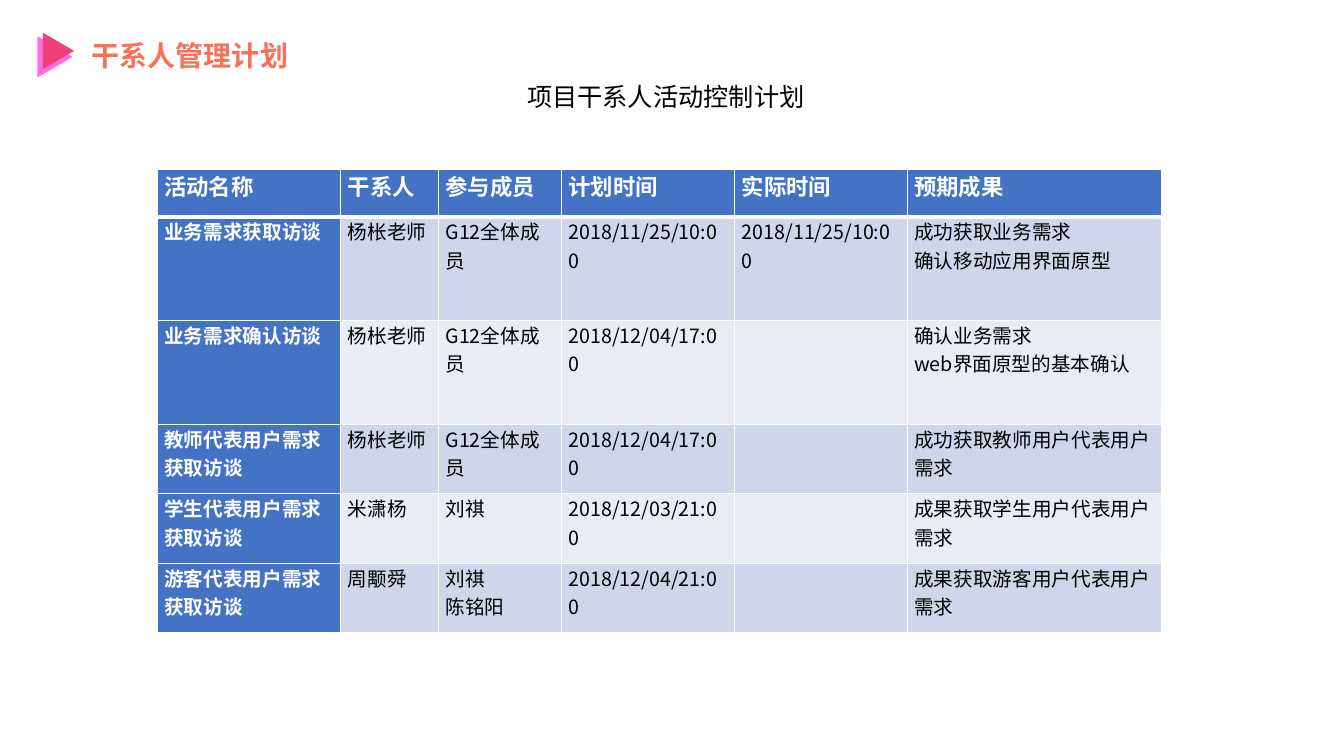
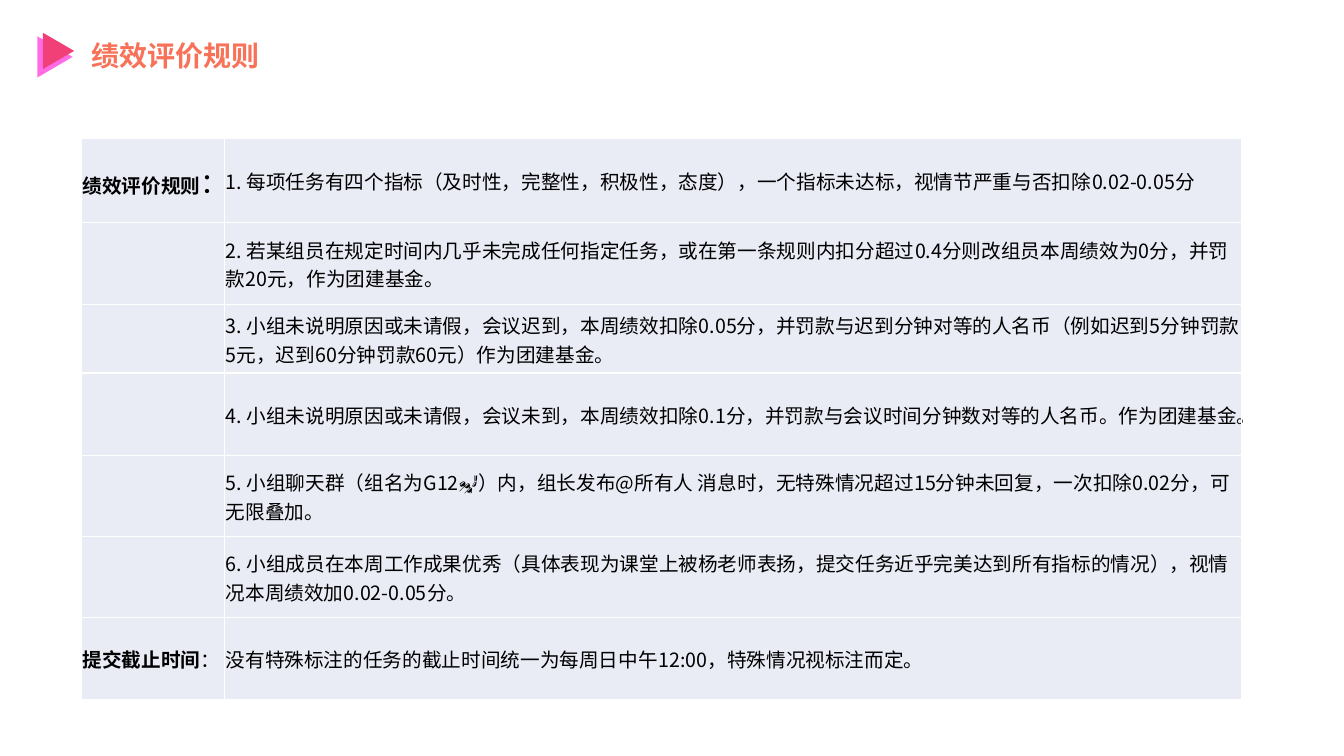
"""Build two slides: the stakeholder activity plan and the performance rules."""
from dataclasses import dataclass

from lxml import etree
from pptx import Presentation
from pptx.dml.color import RGBColor
from pptx.enum import shapes, text
from pptx.oxml import ns
from pptx.util import Inches, Pt


@dataclass(frozen=True)
class Theme:
    font: str = "Noto Sans CJK SC"
    coral: str = "F77258"
    pink: str = "FF6CE4"
    red: str = "F04077"
    blue: str = "4472C4"
    band_dark: str = "CFD5EA"
    band_light: str = "E9EBF5"
    black: str = "000000"
    white: str = "FFFFFF"
    title_size: int = 20
    subtitle_size: int = 18
    header_size: int = 16
    body_size: int = 14
    thin_line: int = 1
    thick_line: int = 3


theme = Theme()


def format_text(text_frame, size, color, bold=False):
    for paragraph in text_frame.paragraphs:
        for run in paragraph.runs:
            run.font.size = Pt(size)
            run.font.bold = bold
            run.font.color.rgb = RGBColor.from_string(color)
            run.font.name = theme.font
            east_asian = etree.SubElement(run.font._element, ns.qn("a:ea"))
            east_asian.set("typeface", theme.font)


def add_grid(slide, left, top, widths, heights, margins, anchor, header_line):
    frame = slide.shapes.add_table(
        len(heights), len(widths), Inches(left), Inches(top),
        Inches(sum(widths)), Inches(sum(heights)))
    table = frame.table
    table.first_row = table.horz_banding = False
    for column, width in zip(table.columns, widths):
        column.width = Inches(width)
    for row_index, (row, height) in enumerate(zip(table.rows, heights)):
        row.height = Inches(height)
        for cell in row.cells:
            (cell.margin_left, cell.margin_top,
             cell.margin_right, cell.margin_bottom) = map(Inches, margins)
            cell.vertical_anchor = anchor
            properties = cell._tc.get_or_add_tcPr()
            for side in "LRTB":
                below_header = (row_index, side) in ((0, "B"), (1, "T"))
                line_width = header_line if below_header else theme.thin_line
                line = etree.SubElement(properties, ns.qn(f"a:ln{side}"), w=str(Pt(line_width)))
                line_fill = etree.SubElement(line, ns.qn("a:solidFill"))
                etree.SubElement(line_fill, ns.qn("a:srgbClr"), val=theme.white)
            cell.fill.solid()
            cell.fill.fore_color.rgb = RGBColor.from_string(theme.band_light)
    return table


presentation = Presentation()
presentation.slide_width = Inches(13.33)
presentation.slide_height = Inches(7.5)
title_only = presentation.slide_layouts[5]

arrow_triangles = [
    (0.34, 0.39, 0.41, 0.35, theme.pink),
    (0.4, 0.35, 0.36, 0.31, theme.red),
]
slides = []
for heading in ("干系人管理计划", "绩效评价规则"):
    slide = presentation.slides.add_slide(title_only)
    slides.append(slide)

    title = slide.shapes.title
    title.left, title.top = Inches(0.81), Inches(0.33)
    title.width, title.height = Inches(3.3), Inches(0.44)
    title_frame = title.text_frame
    title_frame.text = heading
    title_frame.vertical_anchor = text.MSO_ANCHOR.TOP
    title_frame.auto_size = text.MSO_AUTO_SIZE.SHAPE_TO_FIT_TEXT
    title_frame.paragraphs[0].alignment = text.PP_ALIGN.LEFT
    format_text(title_frame, theme.title_size, theme.coral, bold=True)

    arrow = slide.shapes.add_group_shape()
    for left, top, width, height, color in arrow_triangles:
        triangle = arrow.shapes.add_shape(
            shapes.MSO_SHAPE.ISOSCELES_TRIANGLE,
            Inches(left), Inches(top), Inches(width), Inches(height))
        triangle.rotation = 90
        triangle.shadow.inherit = False
        triangle.fill.solid()
        triangle.fill.fore_color.rgb = RGBColor.from_string(color)
        triangle.line.fill.background()

plan_slide, rules_slide = slides

subtitle = plan_slide.shapes.add_textbox(Inches(5.13), Inches(0.76), Inches(2.98), Inches(0.4))
subtitle.text_frame.text = "项目干系人活动控制计划"
subtitle.text_frame.word_wrap = False
subtitle.text_frame.auto_size = text.MSO_AUTO_SIZE.SHAPE_TO_FIT_TEXT
format_text(subtitle.text_frame, theme.subtitle_size, theme.black)

activities = [
    ("活动名称", "干系人", "参与成员", "计划时间", "实际时间", "预期成果"),
    ("业务需求获取访谈", "杨枨老师", "G12全体成员", "2018/11/25/10:00",
     "2018/11/25/10:00", "成功获取业务需求\n确认移动应用界面原型"),
    ("业务需求确认访谈", "杨枨老师", "G12全体成员", "2018/12/04/17:00",
     "", "确认业务需求\nweb界面原型的基本确认"),
    ("教师代表用户需求获取访谈", "杨枨老师", "G12全体成员", "2018/12/04/17:00",
     "", "成功获取教师用户代表用户需求"),
    ("学生代表用户需求获取访谈", "米潇杨", "刘祺", "2018/12/03/21:00",
     "", "成果获取学生用户代表用户需求"),
    ("游客代表用户需求获取访谈", "周颙舜", "刘祺\n陈铭阳", "2018/12/04/21:00",
     "", "成果获取游客用户代表用户需求"),
]
plan_table = add_grid(
    plan_slide, 1.56, 1.68,
    widths=[1.82, 0.97, 1.22, 1.72, 1.71, 2.52],
    heights=[0.47, 1.03, 1.03, 0.69, 0.69, 0.69],
    margins=(0.07, 0, 0.07, 0), anchor=text.MSO_ANCHOR.TOP,
    header_line=theme.thick_line)
for row_index, activity in enumerate(activities):
    band = theme.band_dark if row_index % 2 else theme.band_light
    size = theme.body_size if row_index else theme.header_size
    for column_index, content in enumerate(activity):
        cell = plan_table.cell(row_index, column_index)
        is_heading = row_index == 0 or column_index == 0
        cell.fill.fore_color.rgb = RGBColor.from_string(theme.blue if is_heading else band)
        cell.text_frame.text = content
        format_text(cell.text_frame, size, theme.white if is_heading else theme.black, is_heading)

rules = [
    ("绩效评价规则", "1. 每项任务有四个指标（及时性，完整性，积极性，态度），"
     "一个指标未达标，视情节严重与否扣除0.02-0.05分"),
    ("", "2. 若某组员在规定时间内几乎未完成任何指定任务，"
     "或在第一条规则内扣分超过0.4分则改组员本周绩效为0分，并罚款20元，作为团建基金。"),
    ("", "3. 小组未说明原因或未请假，会议迟到，本周绩效扣除0.05分，"
     "并罚款与迟到分钟对等的人名币（例如迟到5分钟罚款5元，迟到60分钟罚款60元）作为团建基金。"),
    ("", "4. 小组未说明原因或未请假，会议未到，本周绩效扣除0.1分，"
     "并罚款与会议时间分钟数对等的人名币。作为团建基金。"),
    ("", "5. 小组聊天群（组名为G12💅）内，组长发布@所有人 消息时，"
     "无特殊情况超过15分钟未回复，一次扣除0.02分，可无限叠加。"),
    ("", "6. 小组成员在本周工作成果优秀（具体表现为课堂上被杨老师表扬，"
     "提交任务近乎完美达到所有指标的情况），视情况本周绩效加0.02-0.05分。"),
    ("提交截止时间", "没有特殊标注的任务的截止时间统一为每周日中午12:00，特殊情况视标注而定。"),
]
rules_table = add_grid(
    rules_slide, 0.81, 1.37,
    widths=[1.42, 10.08],
    heights=[0.84, 0.81, 0.68, 0.82, 0.8, 0.81, 0.81],
    margins=(0.01, 0.01, 0.01, 0), anchor=text.MSO_ANCHOR.MIDDLE,
    header_line=theme.thin_line)
for row_index, (label, rule) in enumerate(rules):
    label_frame = rules_table.cell(row_index, 0).text_frame
    rule_frame = rules_table.cell(row_index, 1).text_frame
    rule_frame.text = rule
    format_text(rule_frame, theme.body_size, theme.black)
    if label:
        label_frame.text = label
        colon = label_frame.paragraphs[0].add_run()
        colon.text = "："
        format_text(label_frame, theme.body_size, theme.black, bold=True)
        colon.font.bold = False
        if row_index == 0:
            colon.font.size = Pt(theme.title_size)
rule_frame.paragraphs[0].alignment = text.PP_ALIGN.JUSTIFY

presentation.save("out.pptx")
